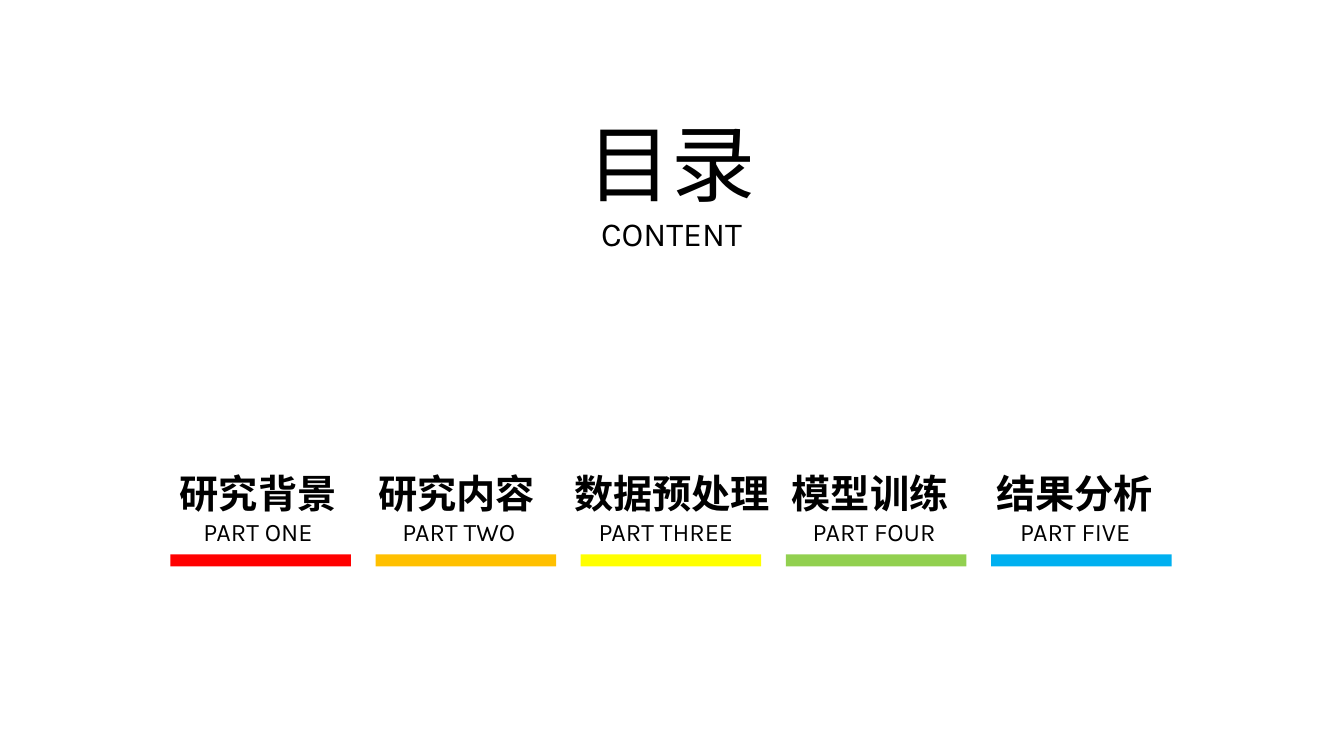
from pptx import Presentation
from pptx import util as u
from pptx.dml.color import RGBColor
from pptx.enum import shapes, text


def color(value):
    return RGBColor.from_string(value)


def add_label(slide, left, top, width, height, lines, bold=False, spacing=None, wrap=True):
    box = slide.shapes.add_textbox(u.Inches(left), u.Inches(top), u.Inches(width), u.Inches(height))
    frame = box.text_frame
    frame.word_wrap = wrap
    frame.auto_size = text.MSO_AUTO_SIZE.SHAPE_TO_FIT_TEXT
    frame.text = "\n".join(words for words, size in lines)
    for paragraph, (words, size) in zip(frame.paragraphs, lines):
        paragraph.alignment = text.PP_ALIGN.CENTER
        paragraph.line_spacing = spacing
        paragraph.font.name = "Karla"
        paragraph.font.size = u.Pt(size)
        paragraph.font.bold = bold
        paragraph.font.color.rgb = color("000000")


presentation = Presentation()
presentation.slide_width = u.Inches(13.33)
presentation.slide_height = u.Inches(7.5)
slide = presentation.slides.add_slide(presentation.slide_layouts[6])

add_label(slide, 5.72, 1.06, 1.88, 1.51, [("目录", 60), ("CONTENT", 24)], wrap=False)

first_bar, bar_pitch, bar_width = 1.69, 2.035, 1.79
parts = [
    ("研究背景", 1.6, 1.92, "PART ONE", 1.76, 1.6, "FF0000"),
    ("研究内容", 3.57, 1.92, "PART TWO", 3.68, 1.74, "FFC000"),
    ("数据预处理", 5.54, 2.25, "PART THREE", 5.67, 1.87, "FFFF00"),
    ("模型训练", 7.67, 1.92, "PART FOUR", 7.9, 1.54, "92D050"),
    ("结果分析", 9.7, 1.92, "PART FIVE", 10, 1.33, "00B0F0"),
]

for column, (title, title_left, title_width, part, part_left, part_width, fill) in enumerate(parts):
    add_label(slide, part_left, 4.98, part_width, 0.49, [(part, 18)], spacing=1.3)
    add_label(slide, title_left, 4.47, title_width, 0.65, [(title, 28)], bold=True, spacing=1.3)
    bar = slide.shapes.add_shape(
        shapes.MSO_SHAPE.RECTANGLE,
        u.Inches(first_bar + column * bar_pitch), u.Inches(5.5), u.Inches(bar_width), u.Inches(0.12))
    bar.shadow.inherit = False
    bar.fill.solid()
    bar.fill.fore_color.rgb = color(fill)
    bar.line.fill.background()

presentation.save("out.pptx")
